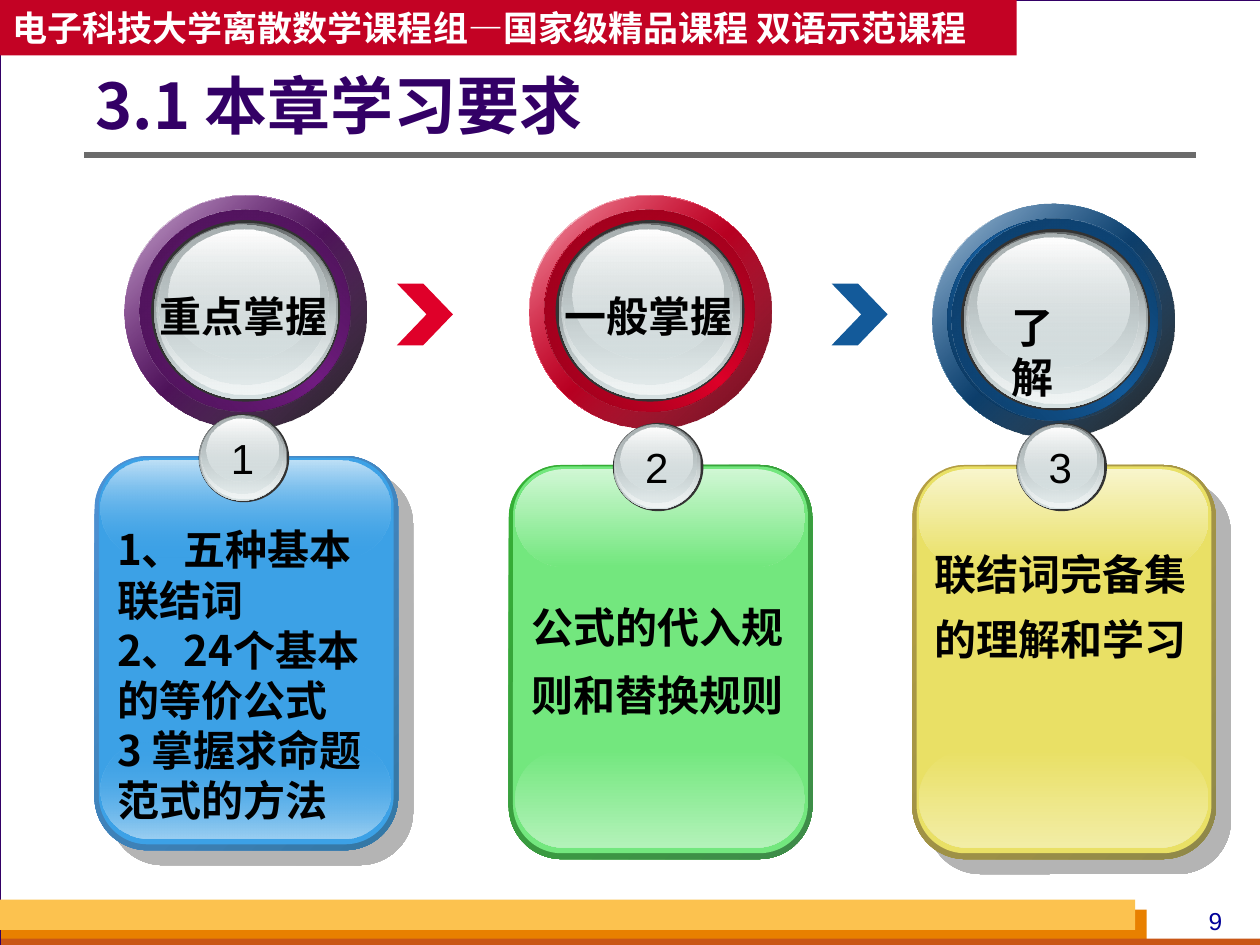
from lxml import etree
from pptx import Presentation
from pptx.dml.color import RGBColor
from pptx.enum import shapes, text
from pptx.oxml import ns
from pptx.util import Pt

THEME = dict(
    sans="Arial", han="Noto Sans CJK SC", ink="000000", deep="330066", white="FFFFFF",
    rule="6B6B6B", band="C30224", rim="333333", page="000099", back="D8DADA",
    small=14, mid=20, body=24, head=36)

BANNER = "电子科技大学离散数学课程组—国家级精品课程 双语示范课程"
TITLE = "3.1 本章学习要求"
NUMBER = "9"
FOOT = [((0.7, 519.8, 654.5, 20.2), "E88000"), ((0.7, 536.4, 720, 5.8), "C95616"),
        ((0, 514.1, 648.7, 17.3), "FCC24F")]
ARROWS = [(226.8, "DF0029"), (475.2, "135A9A")]

COLS = [
    dict(ring=(71.3, 111.6), nudge=0, hue="711C81", end=("000000", 90), dark="3D0F46", dim="481252",
         name="重点掌握", label=(84.2, 162.7, 110.2), card=(54, 260.6),
         edge=("4E91D4", "3477A4"), face="3CA1E6", low="9BCFF2", top="BEE0F7", clear=0, shade=True,
         lines=["1、五种基本联结词", "2、24个基本的等价公式", "3 掌握求命题范式的方法"],
         drop=35.3, tall=180, lead=28.7),
    dict(ring=(302.4, 111.6), nudge=0, hue="DF0029", end=("670013", 100), dark="790016", dim="8E001A",
         name="一般掌握", label=(315.4, 162.7, 114.5), card=(290.7, 265.7),
         edge=("34B034", "3F8B4A"), face="73E77E", low="B3F2B9", top="D0F7D4", clear=100, shade=False,
         lines=["公式的代入规则和替换规则"], drop=64.6, tall=85, lead=38.7),
    dict(ring=(532.8, 116.6), nudge=1.2, hue="135A9A", end=("000000", 90), dark="0A3153", dim="0C3962",
         name="了解", label=(571, 168.5, 61.9), card=(521.3, 265.7),
         edge=("B59F43", "8F8849"), face="E9E065", low="F2EDA6", top="F8F5CC", clear=100, shade=True,
         lines=["联结词完备集的理解和学习"], drop=36, tall=82, lead=37.2),
]

GLASS = [("636869", 100, "D6E1E2", 100), ("D6E1E2", 0, "F1F5F5", 100),
         ("AAB2B3", 100, "D6E1E2", 48), ("FFFFFF", 100, "D6E1E2", 38)]
LENS = [(15.1, 14.2, 108, 103.7), (16.8, 15.8, 105.1, 100.8), (18.2, 16.2, 102.2, 97.9),
        (19.2, 17, 97.2, 91.4), (24.8, 19.4, 86.4, 74.2)]
BALL = [(0, 0, 51.8, 50.4), (0.4, 0.4, 49.7, 49), (1, 0.6, 49, 47.5),
        (1.6, 1, 46.1, 44.6), (4.6, 2.4, 41, 36)]

deck = Presentation()
deck.slide_width, deck.slide_height = Pt(720), Pt(540)
slide = deck.slides.add_slide(deck.slide_layouts[6])
kinds = shapes.MSO_SHAPE


def rgb(key):
    return RGBColor.from_string(THEME.get(key, key))


def node(root, tag, **attrs):
    return etree.SubElement(root, ns.qn(tag), attrs)


def blend(shape, stops, angle):
    """Fill a shape with a linear gradient of (place, colour, opacity) stops."""
    shape.fill.background()
    props = shape.fill._xPr
    old = props.find(ns.qn("a:noFill"))
    grad = etree.Element(ns.qn("a:gradFill"), rotWithShape="1")
    props.replace(old, grad)
    row = node(grad, "a:gsLst")
    for place, hue, alpha in stops:
        stop = node(row, "a:gs", pos=str(place * 1000))
        tint = node(stop, "a:srgbClr", val=hue)
        if alpha < 100:
            node(tint, "a:alpha", val=str(alpha * 1000))
    node(grad, "a:lin", ang=str(angle * 60000), scaled="0")


def draw(kind, box, fill=None, stops=None, angle=90, adj=None):
    shape = slide.shapes.add_shape(kind, *map(Pt, box))
    shape.shadow.inherit = False
    shape.line.fill.background()
    if adj is not None:
        shape.adjustments[0] = adj
    if stops:
        blend(shape, stops, angle)
    else:
        shape.fill.solid()
        shape.fill.fore_color.rgb = rgb(fill)
    return shape


def write(shape, lines, size, font, hue="ink", bold=True, wrap=True, align="LEFT",
          anchor="TOP", lead=None, left=7.2):
    frame = shape.text_frame
    frame.word_wrap = wrap
    frame.vertical_anchor = getattr(text.MSO_ANCHOR, anchor)
    frame.margin_left = Pt(left)
    for i, line in enumerate(lines):
        para = frame.add_paragraph() if i else frame.paragraphs[0]
        run = para.add_run()
        run.text = line
        para.alignment = getattr(text.PP_ALIGN, align)
        para.line_spacing = lead
        para.font.size, para.font.bold = Pt(THEME[size]), bold
        para.font.name, para.font.color.rgb = THEME[font], rgb(hue)


def label(box, *args, **style):
    write(slide.shapes.add_textbox(*map(Pt, box)), *args, **style)


def glass(x, y, boxes):
    fills = [None] + GLASS
    for (dx, dy, w, h), tone in zip(boxes, fills):
        stops = tone and [(0, *tone[:2]), (100, *tone[2:])]
        draw(kinds.OVAL, (x + dx, y + dy, w, h), "rim", stops)


def ring(col):
    x, y = col["ring"]
    hue, dark, slip = col["hue"], col["dark"], col["nudge"]
    outer, inner = (x, y, 138.2, 133.2), (x + 8.6, y + 8.4, 120.2, 115.2)
    over = (inner[0] + 2 * slip, *inner[1:])
    for box, stops, angle in [
            (outer, [(0, "FFFFFF", 100), (50, hue, 100), (100, "FFFFFF", 100)], 45),
            (outer, [(0, hue, 32), (100, *col["end"])], 45),
            (inner, [(0, dark, 100), (50, hue, 100), (100, dark, 100)], 315),
            (over, [(0, col["dim"], 100), (100, hue, 0)], 45)]:
        draw(kinds.OVAL, box, stops=stops, angle=angle)
    glass(x + slip, y, LENS)
    label((*col["label"], 36), [col["name"]], "body", "sans", wrap=False)


def card(col, number):
    x, y = col["card"]
    face, clear = col["face"], col["clear"]
    edge = draw(kinds.ROUNDED_RECTANGLE, (x, y, 173.5, 225.2), angle=45, adj=0.175,
                stops=[(0, col["edge"][0], 100), (100, col["edge"][1], 100)])
    if col["shade"]:
        fx = edge._element.spPr.find(ns.qn("a:effectLst"))
        cast = node(fx, "a:outerShdw", dist=str(Pt(12.1)), dir="2700000", algn="ctr", rotWithShape="0")
        node(node(cast, "a:srgbClr", val=THEME["rule"]), "a:alpha", val="50000")
    draw(kinds.ROUNDED_RECTANGLE, (x + 2.5, y + 0.9, 168.5, 221), face, adj=0.165)
    for dy, stops in [(162.9, [(0, face, clear), (100, col["low"], 100)]),
                      (2.4, [(0, col["top"], 100), (100, face, clear)])]:
        draw(kinds.ROUNDED_RECTANGLE, (x + 3.7, y + dy, 165.6, 55.8), stops=stops, adj=0.5)
    glass(x + 59.5, y - 24, BALL)
    label((x + 70.9, y - 17, 27.4, 36), [str(number)], "body", "sans", bold=False,
          wrap=False, align="CENTER")
    label((x + 5.8, y + col["drop"], 164.9, col["tall"]), col["lines"], "body", "han",
          lead=Pt(col["lead"]))


def main():
    back = slide.background.fill
    back.solid()
    back.fore_color.rgb = rgb("back")
    sheet = draw(kinds.RECTANGLE, (0, 0, 720.7, 540), "white")
    sheet.line.color.rgb, sheet.line.width = rgb("deep"), Pt(0.75)
    for box, hue in FOOT:
        draw(kinds.RECTANGLE, box, hue)
    label((671.8, 514.1, 45.4, 24.5), [NUMBER], "small", "sans", "page", bold=False, align="CENTER")
    rule = slide.shapes.add_connector(shapes.MSO_CONNECTOR.STRAIGHT, Pt(48.2), Pt(88.6), Pt(683.3), Pt(88.6))
    rule.line.color.rgb, rule.line.width = rgb("rule"), Pt(3)
    node(rule._element.spPr, "a:effectLst")
    write(draw(kinds.RECTANGLE, (0, 0, 581, 31.7), "band"), [BANNER], "mid", "han", "white",
          wrap=False, anchor="MIDDLE")
    label((54.7, 42.5, 548.6, 40.3), [TITLE], "head", "han", "deep", anchor="MIDDLE", lead=0.9, left=0)
    for x, hue in ARROWS:
        draw(kinds.CHEVRON, (x, 162, 32, 35.3), hue, adj=0.53)
    for col in COLS:
        ring(col)
    for i, col in enumerate(COLS, 1):
        card(col, i)
    deck.save("out.pptx")


if __name__ == "__main__":
    main()
